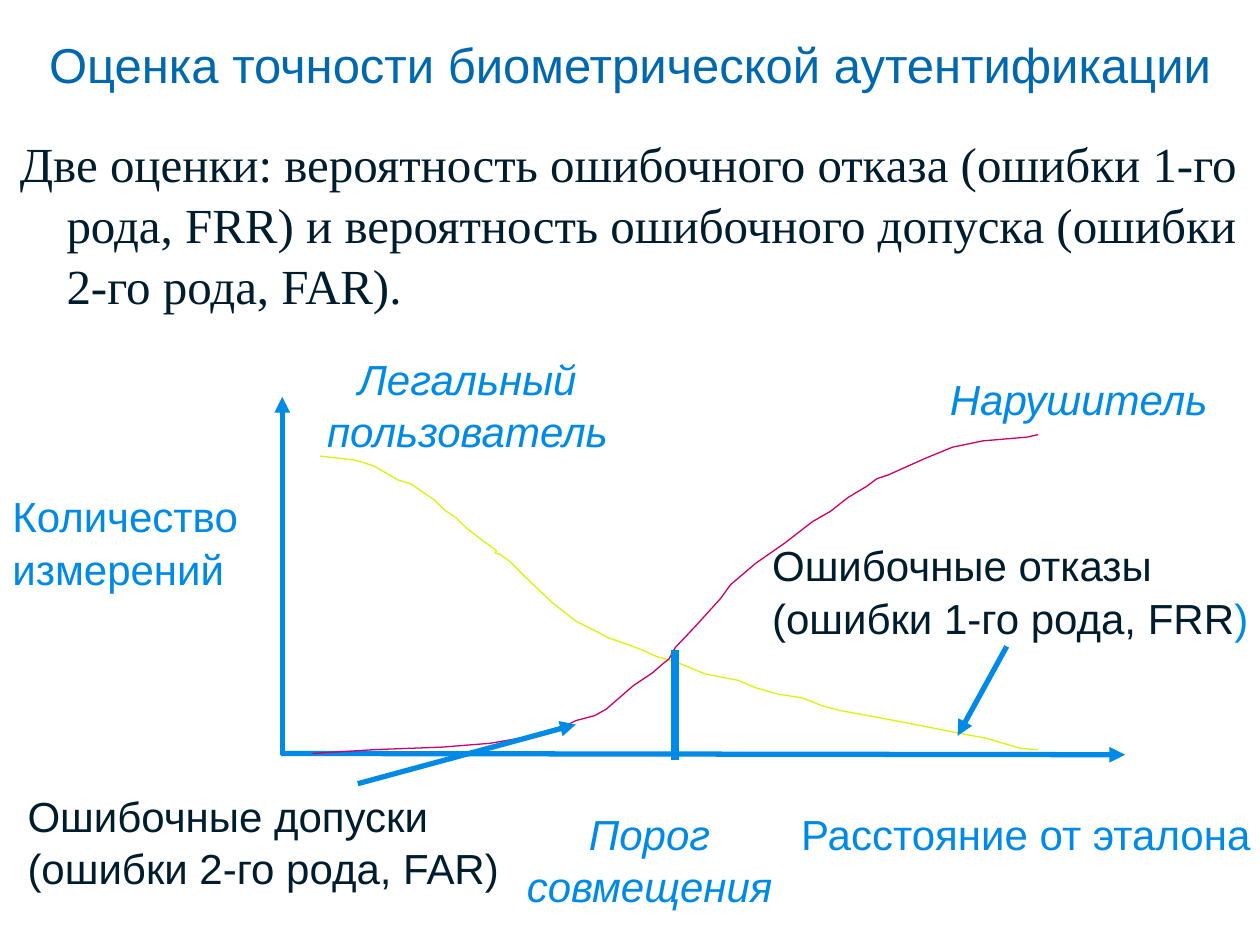
import pptx
import pptx.dml.color
import pptx.enum.shapes
import pptx.enum.text
import pptx.oxml
import pptx.oxml.ns
import pptx.util

RGB = pptx.dml.color.RGBColor
ALIGN = pptx.enum.text.PP_ALIGN
ANCHOR = pptx.enum.text.MSO_ANCHOR
FIT = pptx.enum.text.MSO_AUTO_SIZE

PX = 9144  # EMU per px, 100 px to the inch
TITLE_BLUE = RGB(0x00, 0x68, 0xAE)
BLUE = RGB(0x00, 0x8A, 0xE8)
INK = RGB(0x00, 0x1D, 0x2E)
LIME = RGB(0xD8, 0xF4, 0x08)
CRIMSON = RGB(0xCC, 0x00, 0x66)
LINE_SPACING = 1.04

LEGAL_USER = [
    (254, 362), (280, 365), (288, 367), (297, 370), (316, 381), (326, 384),
    (345, 397), (353, 405), (362, 411), (370, 419), (383, 429), (394, 437),
    (393, 439), (397, 440), (405, 446), (418, 459), (438, 478), (457, 493),
    (477, 503), (482, 506), (494, 510), (510, 516), (521, 521), (538, 526),
    (560, 535), (586, 540), (600, 546), (618, 551), (637, 554), (652, 560),
    (667, 564), (700, 570), (731, 576), (767, 583), (783, 586), (810, 594),
    (824, 595),
]
INTRUDER = [
    (248, 598), (298, 595), (351, 593), (389, 590), (418, 585), (451, 575),
    (457, 572), (472, 568), (481, 563), (503, 544), (518, 534), (526, 527),
    (531, 523), (536, 514), (553, 496), (572, 475), (580, 464), (600, 447),
    (623, 431), (645, 414), (659, 406), (673, 395), (688, 386), (696, 380),
    (705, 377), (734, 364), (756, 355), (780, 350), (803, 348), (815, 347),
    (824, 345),
]


def emu(*lengths):
    return [length * PX for length in lengths]


def set_format(obj, **values):
    for name, value in values.items():
        setattr(obj, name, value)


def add_text(slide, box, lines, color=BLUE, size=24, font="Arial",
             align=ALIGN.LEFT, italic=False, **frame):
    """Add a text box; each line is a list of runs, a run being (text, color or None)."""
    tf = slide.shapes.add_textbox(*emu(*box)).text_frame
    set_format(tf, **{"word_wrap": True, "auto_size": FIT.NONE, **frame})
    for i, runs in enumerate(lines):
        p = tf.paragraphs[0] if i == 0 else tf.add_paragraph()
        set_format(p, alignment=align, line_spacing=LINE_SPACING)
        for text, run_color in runs:
            r = p.add_run()
            r.text = text
            set_format(r.font, name=font, size=pptx.util.Pt(size), italic=italic)
            r.font.color.rgb = run_color or color
    return tf


def add_label(slide, box, *lines, **values):
    runs = [[(line, None)] if isinstance(line, str) else line for line in lines]
    return add_text(slide, box, runs,
                    **{"auto_size": FIT.SHAPE_TO_FIT_TEXT, **values})


def add_line(slide, start, end, width=3, arrow=True):
    sp = slide.shapes.add_connector(
        pptx.enum.shapes.MSO_CONNECTOR.STRAIGHT, *emu(*start, *end))
    sp.line.color.rgb = BLUE
    sp.line.width = pptx.util.Pt(width)
    if arrow:
        ln = sp.line._get_or_add_ln()
        tail = pptx.oxml.parse_xml(
            f'<a:tailEnd {pptx.oxml.ns.nsdecls("a")} type="triangle"/>')
        ln.append(tail)
    sp._element.spPr.append(
        pptx.oxml.parse_xml(f'<a:effectLst {pptx.oxml.ns.nsdecls("a")}/>'))


def add_curve(slide, points, color):
    builder = slide.shapes.build_freeform(*points[0], scale=PX)
    builder.add_line_segments(points[1:], close=False)
    sp = builder.convert_to_shape()
    sp.shadow.inherit = False
    sp.fill.background()
    sp.line.color.rgb = color
    sp.line.width = pptx.util.Pt(0.75)


def add_heading(slide):
    add_label(slide, (0, 0, 1000, 99),
              "Оценка точности биометрической аутентификации",
              color=TITLE_BLUE, size=28, align=ALIGN.CENTER,
              auto_size=FIT.NONE, vertical_anchor=ANCHOR.MIDDLE)
    tf = add_label(slide, (5, 99, 1000, 160),
                   "Две оценки: вероятность ошибочного отказа (ошибки 1-го рода, FRR) "
                   "и вероятность ошибочного допуска (ошибки 2-го рода, FAR).",
                   color=INK, size=28, font="Times New Roman", auto_size=FIT.NONE)
    pPr = tf.paragraphs[0]._p.get_or_add_pPr()
    pPr.set("marL", str(38 * PX))
    pPr.set("indent", str(-37 * PX))


def add_graph(slide):
    add_line(slide, (224, 599), (224, 315))
    add_line(slide, (223, 598), (893, 599))
    add_curve(slide, LEGAL_USER, LIME)
    add_curve(slide, INTRUDER, CRIMSON)
    add_line(slide, (536, 516), (536, 603), width=4.5, arrow=False)
    add_line(slide, (284, 622), (457, 575))
    add_line(slide, (799, 513), (760, 584))


def add_graph_labels(slide):
    add_label(slide, (0, 383, 209, 90), "Количество", "измерений")
    add_label(slide, (626, 635, 379, 50), "Расстояние от эталона", word_wrap=False)
    add_label(slide, (408, 635, 215, 90), "Порог", "совмещения",
              align=ALIGN.CENTER, italic=True, word_wrap=False)
    add_label(slide, (248, 274, 246, 90), "Легальный", "пользователь",
              align=ALIGN.CENTER, italic=True, word_wrap=False)
    add_label(slide, (744, 290, 226, 50), "Нарушитель", italic=True, word_wrap=False)
    add_label(slide, (12, 621, 395, 130),
              "Ошибочные допуски", "(ошибки 2-го рода, FAR)", color=INK)
    add_label(slide, (603, 422, 403, 90), "Ошибочные отказы",
              [("(ошибки 1-го рода, FRR", None), (")", BLUE)], color=INK)


def main():
    prs = pptx.Presentation()
    prs.slide_width, prs.slide_height = emu(1000, 750)
    slide = prs.slides.add_slide(prs.slide_layouts[6])
    add_heading(slide)
    add_graph(slide)
    add_graph_labels(slide)
    prs.save("out.pptx")


if __name__ == "__main__":
    main()
